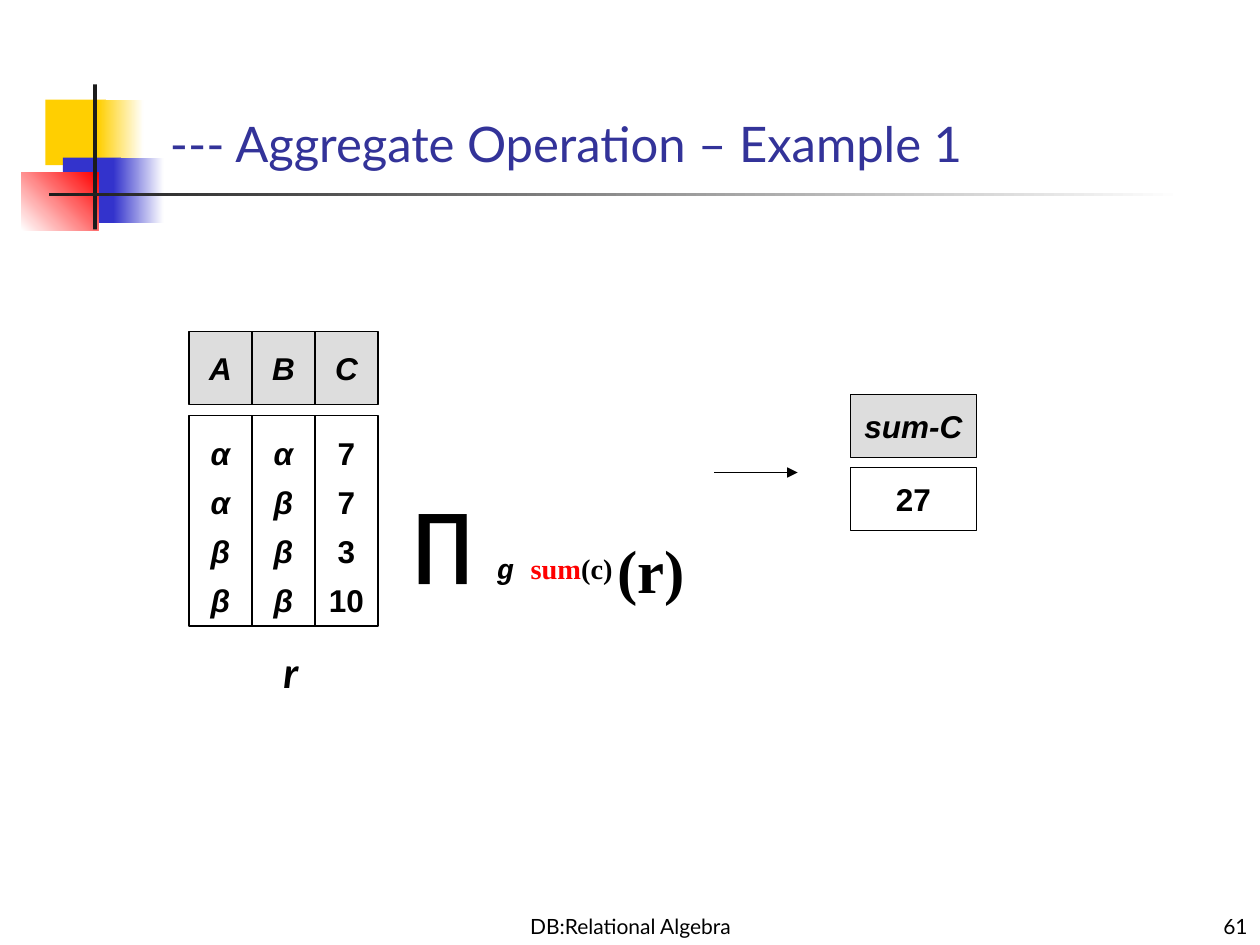
from lxml import etree
from pptx import Presentation
from pptx.dml.color import RGBColor
from pptx.enum import shapes, text
from pptx.oxml import ns
from pptx.util import Inches, Pt

BLACK = RGBColor(0x00, 0x00, 0x00)
WHITE = RGBColor(0xFF, 0xFF, 0xFF)
CHARCOAL = RGBColor(0x1C, 0x1C, 0x1C)
GREY = RGBColor(0xDD, 0xDD, 0xDD)
YELLOW = RGBColor(0xFF, 0xCF, 0x01)
BLUE = RGBColor(0x33, 0x33, 0xCC)
RED = RGBColor(0xFF, 0x00, 0x00)
TITLE_BLUE = RGBColor(0x33, 0x33, 0x99)

LEFT, CENTER, RIGHT = text.PP_ALIGN.LEFT, text.PP_ALIGN.CENTER, text.PP_ALIGN.RIGHT
TOP, MIDDLE, BOTTOM = text.MSO_ANCHOR.TOP, text.MSO_ANCHOR.MIDDLE, text.MSO_ANCHOR.BOTTOM


class Deck:
    """The current slide together with the style of its elements."""

    heading_font = "Lato"
    table_font = "Arial"
    table_size = 18
    line_width = Pt(0.75)

    def __init__(self, slide):
        self.slide = slide

    def style(self, font, name, size, color=BLACK, bold=False, italic=False):
        font.name, font.size = name, Pt(size)
        font.bold, font.italic = bold, italic
        font.color.rgb = color

    def rectangle(self, left, top, width, height, fill):
        rect = self.slide.shapes.add_shape(
            shapes.MSO_SHAPE.RECTANGLE,
            Inches(left), Inches(top), Inches(width), Inches(height))
        rect.shadow.inherit = False
        rect.fill.solid()
        rect.fill.fore_color.rgb = fill
        rect.line.fill.background()
        return rect

    def fade(self, left, top, width, height, start, end, angle=0):
        """Add a rectangle that blends from start to end."""
        rect = self.rectangle(left, top, width, height, start)
        rect.fill.gradient()
        rect.fill.gradient_angle = angle
        for stop, color, position in zip(rect.fill.gradient_stops, (start, end), (0, 1)):
            stop.color.rgb = color
            stop.position = position

    def cell(self, left, top, width, height, content, fill=WHITE, italic=False, spacing=None):
        box = self.rectangle(left, top, width, height, fill)
        box.line.color.rgb = BLACK
        box.line.width = self.line_width
        frame = box.text_frame
        frame.word_wrap = False
        frame.vertical_anchor = MIDDLE
        frame.text = content
        for paragraph in frame.paragraphs:
            paragraph.alignment = CENTER
            paragraph.line_spacing = spacing
            self.style(paragraph.runs[0].font, self.table_font, self.table_size,
                       bold=True, italic=italic)

    def frame(self, left, top, width, height, anchor=TOP, wrap=True):
        box = self.slide.shapes.add_textbox(
            Inches(left), Inches(top), Inches(width), Inches(height))
        box.text_frame.word_wrap = wrap
        box.text_frame.vertical_anchor = anchor
        return box.text_frame

    def label(self, left, top, width, height, content, size, color=BLACK,
              align=LEFT, anchor=BOTTOM, wrap=True, emphasis=False):
        frame = self.frame(left, top, width, height, anchor, wrap)
        frame.text = content
        paragraph = frame.paragraphs[0]
        paragraph.alignment = align
        self.style(paragraph.runs[0].font, self.heading_font, size, color, emphasis, emphasis)
        return frame

    def formula(self, left, top, width, height, parts):
        """Add bold runs given as (text, font, size, color, italic, baseline)."""
        frame = self.frame(left, top, width, height)
        frame.margin_top = Inches(0.41)
        paragraph = frame.paragraphs[0]
        properties = paragraph._p.get_or_add_pPr()
        properties.set("marL", str(Inches(0.38)))
        properties.set("indent", str(-Inches(0.38)))
        for content, name, size, color, italic, baseline in parts:
            run = paragraph.add_run()
            run.text = content
            self.style(run.font, name, size, color, True, italic)
            if baseline:
                run._r.get_or_add_rPr().set("baseline", str(baseline * 1000))

    def arrow(self, x1, y1, x2, y2):
        connector = self.slide.shapes.add_connector(
            shapes.MSO_CONNECTOR.STRAIGHT, Inches(x1), Inches(y1), Inches(x2), Inches(y2))
        connector.line.color.rgb = BLACK
        connector.line.width = self.line_width
        etree.SubElement(connector.line._get_or_add_ln(), ns.qn("a:tailEnd"), type="triangle")
        etree.SubElement(connector._element.spPr, ns.qn("a:effectLst"))


def add_ornament(deck):
    deck.rectangle(0.36, 0.79, 0.48, 0.52, YELLOW)
    deck.fade(0.78, 0.79, 0.36, 0.52, YELLOW, WHITE)
    deck.rectangle(0.5, 1.25, 0.46, 0.52, BLUE)
    deck.fade(0.9, 1.25, 0.4, 0.52, BLUE, WHITE)
    deck.fade(0.17, 1.37, 0.61, 0.46, WHITE, RED, angle=45)
    deck.rectangle(0.74, 0.67, 0.03, 1.15, CHARCOAL)
    deck.fade(0.39, 1.53, 9, 0.03, CHARCOAL, WHITE)


def add_relation(deck):
    columns = [("A", "ααββ", True), ("B", "αβββ", True), ("C", ("7", "7", "3", "10"), False)]
    width = 0.5
    for index, (name, values, italic) in enumerate(columns):
        left = 1.5 + index * width
        deck.cell(left, 2.63, width, 0.58, name, GREY, italic=True)
        deck.cell(left, 3.3, width, 1.67, "\n".join(values), italic=italic, spacing=1.3)
    caption = deck.label(2.15, 5.08, 0.34, 0.5, "r", 24, anchor=TOP, wrap=False, emphasis=True)
    caption.auto_size = text.MSO_AUTO_SIZE.SHAPE_TO_FIT_TEXT


def add_query(deck):
    serif = "Times New Roman"
    deck.formula(3.17, 3.26, 2.67, 1.04, [
        ("∏ ", "Arial", 44, BLACK, False, 0),
        ("g ", "Courier New", 28, BLACK, True, -25),
        ("sum", serif, 28, RED, False, -25),
        ("(c)", serif, 28, BLACK, False, -25),
        (" ", serif, 20, BLACK, False, -25),
        ("(r)", serif, 60, BLACK, False, -25),
    ])
    deck.arrow(5.67, 3.75, 6.33, 3.75)
    deck.cell(6.75, 3.13, 1, 0.5, "sum-C", GREY, italic=True)
    deck.cell(6.75, 3.71, 1, 0.5, "27")


def main():
    presentation = Presentation()
    presentation.slide_width, presentation.slide_height = Inches(10), Inches(7.5)
    deck = Deck(presentation.slides.add_slide(presentation.slide_layouts[6]))
    add_ornament(deck)
    deck.label(3.42, 7.08, 3.17, 0.42, "DB:Relational Algebra", 12, align=CENTER)
    deck.label(7.92, 7.08, 2.08, 0.42, "61", 12, align=RIGHT)
    deck.label(1.25, 0.75, 8.52, 0.67, "--- Aggregate Operation – Example 1", 28, TITLE_BLUE)
    add_relation(deck)
    add_query(deck)
    presentation.save("out.pptx")


if __name__ == "__main__":
    main()
